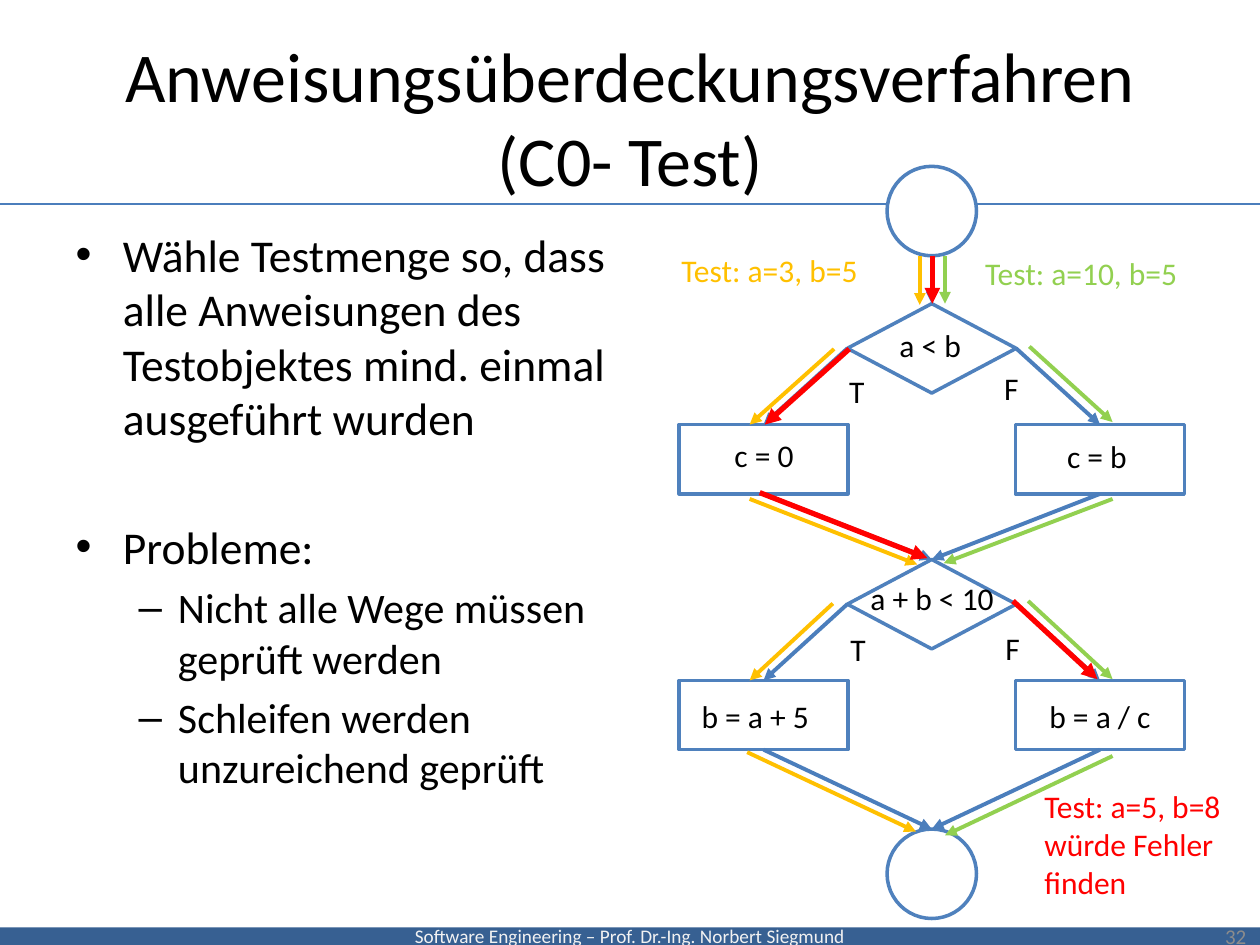
from collections import namedtuple

from lxml import etree
from pptx import Presentation
from pptx.dml.color import RGBColor
from pptx.enum import shapes, text
from pptx.oxml.ns import qn
from pptx.util import Inches, Pt

BLACK = RGBColor(0x00, 0x00, 0x00)
WHITE = RGBColor(0xFF, 0xFF, 0xFF)
NODE_BLUE = RGBColor(0x4F, 0x81, 0xBD)
LINE_BLUE = RGBColor(0x4B, 0x7E, 0xBC)
FOOTER_BLUE = RGBColor(0x37, 0x60, 0x92)
FOOTER_TEXT = RGBColor(0xF2, 0xF2, 0xF2)
GRAY = RGBColor(0x8C, 0x8C, 0x8C)
YELLOW = RGBColor(0xFF, 0xC0, 0x00)
GREEN = RGBColor(0x92, 0xD0, 0x50)
RED = RGBColor(0xFF, 0x00, 0x00)

FONT = "Calibri"
TOP, LEFT, BOTTOM, RIGHT = range(4)
RECT = shapes.MSO_SHAPE.RECTANGLE
DECISION = shapes.MSO_SHAPE.FLOWCHART_DECISION
CIRCLE = shapes.MSO_SHAPE.FLOWCHART_CONNECTOR

Box = namedtuple("Box", "x y w h")


def inches(box):
    return [Inches(v) for v in box]


def place(sp, box):
    sp.left, sp.top, sp.width, sp.height = inches(box)


def add_run(p, words, size, color):
    r = p.add_run()
    r.text = words
    r.font.name, r.font.size = FONT, Pt(size)
    r.font.color.rgb = color


def add_label(slide, box, lines, color=BLACK, size=18, wrap=False, align=None):
    sp = slide.shapes.add_textbox(*inches(box))
    tf = sp.text_frame
    tf.word_wrap = wrap
    tf.auto_size = text.MSO_AUTO_SIZE.SHAPE_TO_FIT_TEXT
    for i, line in enumerate(lines):
        p = tf.add_paragraph() if i else tf.paragraphs[0]
        p.alignment = align
        add_run(p, line, size, color)


def add_node(slide, kind, box, fill=WHITE, outline=NODE_BLUE):
    sp = slide.shapes.add_shape(kind, *inches(box))
    sp.shadow.inherit = False
    sp.fill.solid()
    sp.fill.fore_color.rgb = fill
    if outline is None:
        sp.line.fill.background()
    else:
        sp.line.color.rgb = outline
        sp.line.width = Pt(2)
    return sp


def add_line(slide, ends, color, width, arrow=True):
    line = slide.shapes.add_connector(shapes.MSO_CONNECTOR.STRAIGHT, *inches(ends))
    line.line.color.rgb = color
    line.line.width = Pt(width)
    if arrow:
        ln = line.line._get_or_add_ln()
        etree.SubElement(ln, qn("a:tailEnd")).set("type", "triangle")
    etree.SubElement(line._element.spPr, qn("a:effectLst"))
    return line


def fill_frame(slide, box):
    """Header rule, footer bar and page number."""
    add_line(slide, (box.x, box.y + 1.62, box.x + box.w, box.y + 1.62),
             LINE_BLUE, 0.75, arrow=False)
    bar = add_node(slide, RECT, Box(box.x, box.y + box.h - 0.14, box.w, 0.14),
                   FOOTER_BLUE, None)
    tf = bar.text_frame
    tf.vertical_anchor = text.MSO_ANCHOR.MIDDLE
    tf.margin_top = tf.margin_bottom = 0
    p = tf.paragraphs[0]
    p.alignment = text.PP_ALIGN.CENTER
    add_run(p, "Software Engineering – Prof. Dr.-Ing. Norbert Siegmund", 11, FOOTER_TEXT)
    add_label(slide, Box(box.x + box.w - 2.34, box.y + box.h - 0.22, 2.33, 0.3), ["32"],
              GRAY, 12, wrap=True, align=text.PP_ALIGN.RIGHT)


def fill_title(slide, box):
    title = slide.shapes.title
    place(title, box)
    tf = title.text_frame
    tf.auto_size = text.MSO_AUTO_SIZE.NONE
    tf.vertical_anchor = text.MSO_ANCHOR.MIDDLE
    add_run(tf.paragraphs[0], "Anweisungsüberdeckungsverfahren (C0- Test)", 40, BLACK)


def fill_body(slide, box):
    body = slide.placeholders[1]
    place(body, box)
    tf = body.text_frame
    tf.auto_size = text.MSO_AUTO_SIZE.NONE
    items = [
        (0, 0, "Wähle Testmenge so, dass alle Anweisungen des "
               "Testobjektes mind. einmal ausgeführt wurden"),
        (0, 42, "Probleme:"),
        (1, 5, "Nicht alle Wege müssen geprüft werden"),
        (1, 5, "Schleifen werden unzureichend geprüft"),
    ]
    for i, (level, before, words) in enumerate(items):
        p = tf.add_paragraph() if i else tf.paragraphs[0]
        p.level = level
        p.space_before = Pt(before)
        add_run(p, words, 24 if level else 26, BLACK)


def fill_flow_chart(slide, box):
    w, h, diamond = 1.34, 0.55, 0.71
    right = box.w - w
    middle = right / 2
    circle_x = (box.w - diamond) / 2

    def node(kind, x, y, width, height):
        return add_node(slide, kind, Box(box.x + x, box.y + y, width, height))

    start = node(CIRCLE, circle_x, 0, diamond, diamond)
    end = node(CIRCLE, circle_x, box.h - diamond, diamond, diamond)
    first = node(DECISION, middle, 1.09, w, diamond)
    second = node(DECISION, middle, 3.12, w, diamond)
    c_zero, c_b = [node(RECT, x, 2.05, w, h) for x in (0, right)]
    b_sum, b_ratio = [node(RECT, x, 4.08, w, h) for x in (0, right)]

    # A flowchart circle numbers its sides differently, so only its top is joined
    axis = box.x + box.w / 2
    entry = add_line(slide, (axis, box.y + diamond, axis, box.y + 1.09), LINE_BLUE, 2.25)
    entry.end_connect(first, TOP)
    flows = [
        (first, LEFT, c_zero), (first, RIGHT, c_b),
        (c_zero, BOTTOM, second), (c_b, BOTTOM, second),
        (second, LEFT, b_sum), (second, RIGHT, b_ratio),
        (b_sum, BOTTOM, end), (b_ratio, BOTTOM, end),
    ]
    for source, side, target in flows:
        line = add_line(slide, (0, 0, 1, 1), LINE_BLUE, 2.25)
        line.begin_connect(source, side)
        line.end_connect(target, TOP)

    labels = [
        (1.65, 1.22, 0.7, "a < b"), (0.34, 2.09, 0.68, "c = 0"),
        (2.98, 2.1, 0.68, "c = b"), (1.42, 3.23, 1.2, "a + b < 10"),
        (2.84, 4.16, 1.02, "b = a / c"), (0.08, 4.16, 1.07, "b = a + 5"),
        (2.48, 1.56, 0.32, "F"), (1.25, 1.58, 0.34, "T"),
        (2.49, 3.62, 0.32, "F"), (1.26, 3.63, 0.34, "T"),
    ]
    for x, y, width, words in labels:
        add_label(slide, Box(box.x + x, box.y + y, width, 0.4), [words])


def fill_test_paths(slide, box):
    """Coloured paths of the three test cases, each with its caption."""
    paths = [
        (YELLOW, 2.25, [
            (1.91, 0.71, 1.91, 1.1), (1.23, 1.45, 0.56, 2.05), (0.56, 2.64, 1.89, 3.16),
            (1.22, 3.47, 0.56, 4.08), (0.54, 4.65, 1.88, 5.28)]),
        (GREEN, 2.25, [
            (2.11, 0.71, 2.11, 1.09), (2.78, 1.43, 3.44, 2.03), (3.44, 2.64, 2.1, 3.15),
            (2.77, 3.45, 3.44, 4.07), (3.44, 4.68, 2.11, 5.31)]),
        (RED, 3, [
            (2.01, 0.71, 2.01, 1.09), (1.35, 1.45, 0.68, 2.05), (0.64, 2.59, 1.97, 3.11),
            (2.65, 3.45, 3.32, 4.07)]),
    ]
    for color, width, steps in paths:
        for x1, y1, x2, y2 in steps:
            add_line(slide, (box.x + x1, box.y + y1, box.x + x2, box.y + y2), color, width)

    captions = [
        (YELLOW, Box(-0.08, 0.62, 1.62, 0.4), ["Test: a=3, b=5"], False),
        (GREEN, Box(2.33, 0.65, 1.75, 0.4), ["Test: a=10, b=5"], False),
        (RED, Box(2.8, 4.88, 1.69, 1.01), ["Test: a=5, b=8", "würde Fehler finden"], True),
    ]
    for color, spot, lines, wrap in captions:
        area = spot._replace(x=box.x + spot.x, y=box.y + spot.y)
        add_label(slide, area, lines, color, wrap=wrap)


def main():
    prs = Presentation()
    prs.slide_width, prs.slide_height = Inches(10), Inches(7.5)
    slide = prs.slides.add_slide(prs.slide_layouts[1])
    chart = Box(5.39, 1.32, 4.01, 5.97)
    fill_frame(slide, Box(0, 0, 10, 7.5))
    fill_title(slide, Box(0.5, 0.3, 9, 1.25))
    fill_body(slide, Box(0.5, 1.75, 4.42, 5.61))
    fill_flow_chart(slide, chart)
    fill_test_paths(slide, chart)
    prs.save("out.pptx")


if __name__ == "__main__":
    main()
